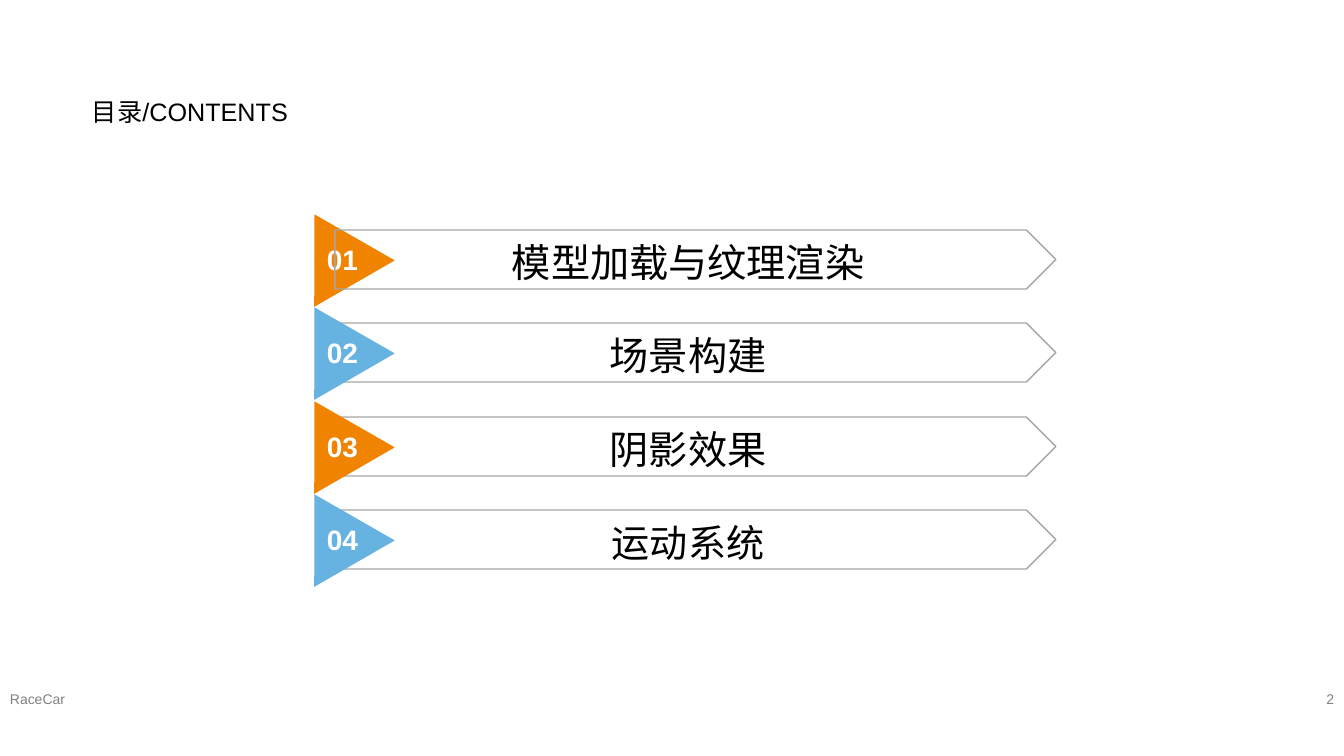
from lxml import etree
from pptx import Presentation
from pptx import util as u
from pptx.dml.color import RGBColor
from pptx.enum import shapes, text

PX = 914400 / 100.8
COLORS = {
    "orange": "F08300",
    "blue": "66B3E1",
    "outline": "A6A6A6",
    "footer": "808080",
    "black": "000000",
    "white": "FFFFFF",
}
SECTIONS = [
    ("模型加载与纹理渲染", 28),
    ("场景构建", 28),
    ("阴影效果", 28),
    ("运动系统", 27.2),
]
ROWS_SPAN = 280


def px(*lengths):
    return [u.Emu(round(length * PX)) for length in lengths]


def color(name):
    return RGBColor.from_string(COLORS[name])


def set_all(target, values):
    for name, value in values.items():
        setattr(target, name, value)


def write(shape, words, size, color_name, align, bold=False, inset=10,
          anchor=text.MSO_ANCHOR.MIDDLE, line_spacing=1.0):
    margin, = px(inset)
    frame = shape.text_frame
    set_all(frame, {
        "word_wrap": True,
        "auto_size": text.MSO_AUTO_SIZE.NONE,
        "vertical_anchor": anchor,
        "margin_left": margin,
        "margin_right": margin,
    })
    paragraph = frame.paragraphs[0]
    run = paragraph.add_run()
    run.text = words
    set_all(paragraph, {"alignment": align, "line_spacing": line_spacing})
    set_all(run.font, {"name": "Arial", "size": u.Pt(size), "bold": bold})
    run.font.color.rgb = color(color_name)
    properties = run.font._element
    east_asian = etree.SubElement(properties, properties.latin.tag.replace("latin", "ea"))
    east_asian.set("typeface", "Arial")


def add_title(slide, words):
    title = slide.shapes.title
    set_all(title, dict(zip(("left", "top", "width", "height"), px(82, 91, 240, 40))))
    write(title, words, 18, "black", text.PP_ALIGN.LEFT, anchor=text.MSO_ANCHOR.TOP)


def add_label(slide, box, words, size, color_name, align, **options):
    label = slide.shapes.add_textbox(*px(*box))
    write(label, words, size, color_name, align, **options)


def add_banner(slide, top, words, size):
    banner = slide.shapes.add_shape(shapes.MSO_SHAPE.PENTAGON, *px(335, top, 721, 59))
    banner.shadow.inherit = False
    banner.fill.background()
    banner.line.color.rgb = color("outline")
    banner.line.width = u.Pt(1)
    write(banner, words, size, "black", text.PP_ALIGN.CENTER, line_spacing=1.1)


def add_marker(slide, top, number, color_name):
    triangle = slide.shapes.add_shape(
        shapes.MSO_SHAPE.ISOSCELES_TRIANGLE, *px(288, top - 21, 93, 80))
    triangle.rotation = 330
    triangle.shadow.inherit = False
    triangle.fill.solid()
    triangle.fill.fore_color.rgb = color(color_name)
    triangle.line.fill.background()
    add_label(slide, (317, top + 6, 51, 47), f"{number:02d}", 20, "white",
              text.PP_ALIGN.CENTER, bold=True, inset=0)


def main():
    presentation = Presentation()
    presentation.slide_width, presentation.slide_height = px(1344, 756)
    slide = presentation.slides.add_slide(presentation.slide_layouts[5])

    add_title(slide, "目录/CONTENTS")
    add_label(slide, (0, 687, 457, 23), "RaceCar", 10, "footer", text.PP_ALIGN.LEFT)
    add_label(slide, (1023, 687, 321, 23), "2", 10, "footer", text.PP_ALIGN.RIGHT)

    tops = [230 + round(index * ROWS_SPAN / (len(SECTIONS) - 1))
            for index in range(len(SECTIONS))]
    for top, section in zip(tops[1:], SECTIONS[1:]):
        add_banner(slide, top, *section)
    for index, top in enumerate(tops):
        add_marker(slide, top, index + 1, ("orange", "blue")[index % 2])
    add_banner(slide, tops[0], *SECTIONS[0])

    presentation.save("out.pptx")


if __name__ == "__main__":
    main()
